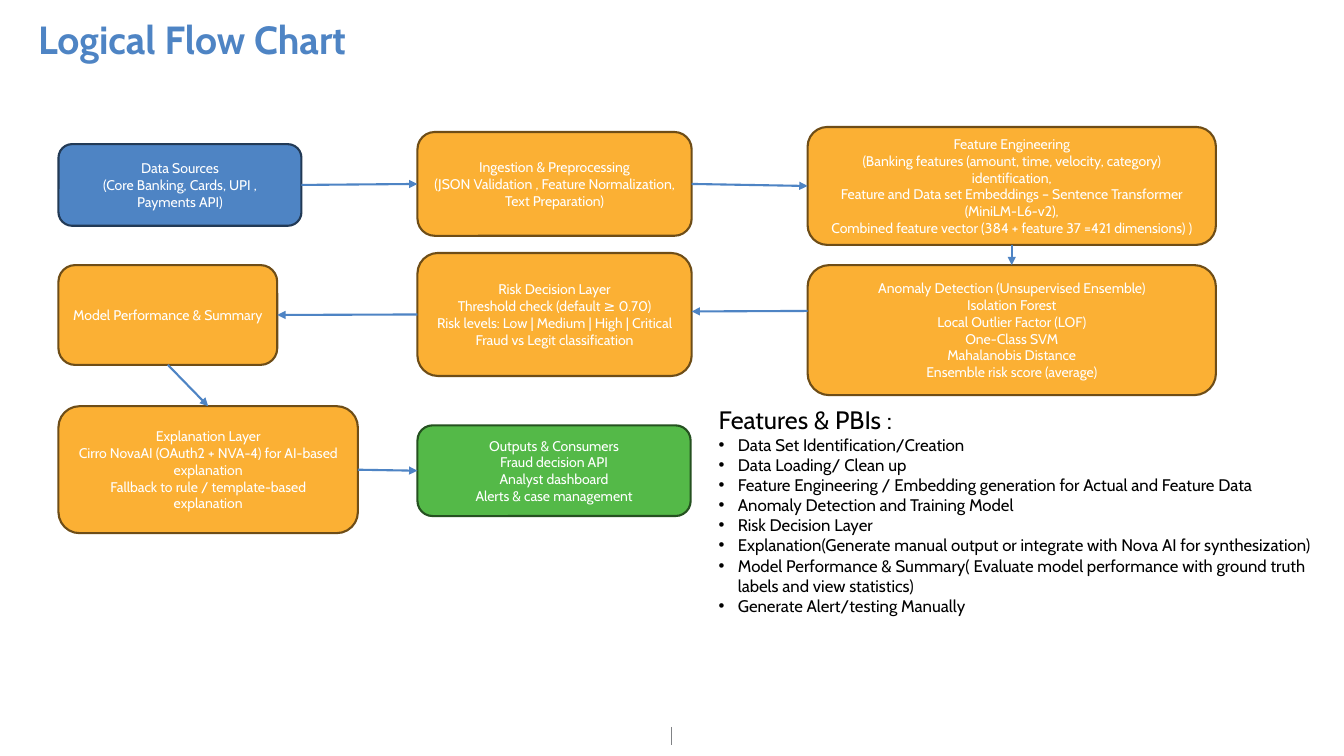
from dataclasses import dataclass

from lxml.etree import SubElement
from pptx import Presentation
from pptx.dml.color import RGBColor
from pptx.enum.shapes import MSO_CONNECTOR as Connector
from pptx.enum.shapes import MSO_SHAPE as Preset
from pptx.enum.text import MSO_ANCHOR as Anchor
from pptx.enum.text import PP_ALIGN as Align
from pptx.oxml.ns import qn
from pptx.shapes.autoshape import Shape
from pptx.shapes.connector import Connector as ConnectorShape
from pptx.slide import Slide
from pptx.text.text import _Paragraph as Paragraph
from pptx.util import Inches, Pt


@dataclass(frozen=True)
class Theme:
    """Colours, font and type sizes of the slide."""

    font: str = "Cabin"
    blue: str = "4E84C4"
    blue_edge: str = "223A56"
    amber: str = "FBB034"
    amber_edge: str = "6E4D17"
    green: str = "54B948"
    green_edge: str = "255120"
    grey: str = "808285"
    white: str = "FFFFFF"
    black: str = "000000"
    title_size: int = 28
    heading_size: int = 18
    bullet_size: int = 12
    step_size: int = 10
    line_width: float = 1.5
    mark_width: float = 1


THEME = Theme()


@dataclass(frozen=True)
class Step:
    """A rounded box of the flow chart."""

    left: float
    top: float
    width: float
    height: float
    lines: tuple[str, ...]
    fill: str = THEME.amber
    edge: str = THEME.amber_edge

    def site(self, side: int) -> tuple[float, float]:
        """Return the middle of a side, numbered like the connection sites."""
        across, down = ((0.5, 0), (0, 0.5), (0.5, 1), (1, 0.5))[side]
        return self.left + across * self.width, self.top + down * self.height


@dataclass(frozen=True)
class Flow:
    """An arrow between two steps; a shift moves its ends off the sites."""

    source: str
    source_side: int
    target: str
    target_side: int
    source_shift: float = 0
    target_shift: float = 0


TOP, LEFT, BOTTOM, RIGHT = range(4)

STEPS: dict[str, Step] = {
    "sources": Step(0.58, 1.43, 2.41, 0.81, (
        "Data Sources",
        "(Core Banking, Cards, UPI , Payments API)",
    ), THEME.blue, THEME.blue_edge),
    "ingestion": Step(4.14, 1.31, 2.72, 1.03, (
        "Ingestion & Preprocessing",
        "(JSON Validation , Feature Normalization,",
        "Text Preparation)",
    )),
    "features": Step(8.01, 1.26, 4.05, 1.17, (
        "Feature Engineering",
        "(Banking features (amount, time, velocity, category) identification,",
        "Feature and Data set Embeddings – Sentence Transformer (MiniLM-L6-v2),",
        "Combined feature vector (384 + feature 37 =421 dimensions) )",
    )),
    "anomaly": Step(8.01, 2.63, 4.05, 1.29, (
        "Anomaly Detection (Unsupervised Ensemble)",
        "Isolation Forest",
        "Local Outlier Factor (LOF)",
        "One-Class SVM",
        "Mahalanobis Distance",
        "Ensemble risk score (average)",
    )),
    "risk": Step(4.14, 2.51, 2.72, 1.22, (
        "Risk Decision Layer",
        "Threshold check (default ≥ 0.70)",
        "Risk levels: Low | Medium | High | Critical",
        "Fraud vs Legit classification",
    )),
    "performance": Step(0.58, 2.63, 2.17, 0.99, ("Model Performance & Summary",)),
    "explanation": Step(0.58, 4.03, 2.97, 1.26, (
        "Explanation Layer",
        "Cirro NovaAI (OAuth2 + NVA-4) for AI-based explanation",
        "Fallback to rule / template-based explanation",
    )),
    "outputs": Step(4.14, 4.22, 2.71, 0.9, (
        "Outputs & Consumers",
        "Fraud decision API",
        "Analyst dashboard",
        "Alerts & case management",
    ), THEME.green, THEME.green_edge),
}

FLOWS: tuple[Flow, ...] = (
    Flow("sources", RIGHT, "ingestion", LEFT),
    Flow("ingestion", RIGHT, "features", LEFT),
    Flow("features", BOTTOM, "anomaly", TOP),
    Flow("anomaly", LEFT, "risk", RIGHT, -0.19, -0.03),
    Flow("risk", LEFT, "performance", RIGHT),
    Flow("performance", BOTTOM, "explanation", TOP),
    Flow("explanation", RIGHT, "outputs", LEFT),
)

BACKLOG: tuple[str, ...] = (
    "Data Set Identification/Creation",
    "Data Loading/ Clean up",
    "Feature Engineering / Embedding generation for Actual and Feature Data",
    "Anomaly Detection and Training Model",
    "Risk Decision Layer",
    "Explanation(Generate manual output or integrate with Nova AI for synthesization)",
    "Model Performance & Summary( Evaluate model performance with ground truth "
    "labels and view statistics)",
    "Generate Alert/testing Manually",
)


def style(para: Paragraph, size: int, color: str, bold: bool = False) -> None:
    """Format every run of a paragraph."""
    for span in para.runs:
        span.font.name = THEME.font
        span.font.size = Pt(size)
        span.font.bold = bold
        span.font.color.rgb = RGBColor.from_string(color)


def add_text(page: Slide, left: float, top: float, width: float, height: float,
             text: str) -> Shape:
    """Add a wrapping text box."""
    box = page.shapes.add_textbox(*map(Inches, (left, top, width, height)))
    box.text_frame.word_wrap = True
    box.text_frame.text = text
    return box


def add_step(page: Slide, step: Step) -> Shape:
    """Draw one box of the flow chart."""
    place = map(Inches, (step.left, step.top, step.width, step.height))
    box = page.shapes.add_shape(Preset.ROUNDED_RECTANGLE, *place)
    box.shadow.inherit = False
    box.fill.solid()
    box.fill.fore_color.rgb = RGBColor.from_string(step.fill)
    box.line.color.rgb = RGBColor.from_string(step.edge)
    box.line.width = Pt(THEME.line_width)
    box.text_frame.word_wrap = True
    box.text_frame.vertical_anchor = Anchor.MIDDLE
    box.text_frame.text = "\n".join(step.lines)
    for para in box.text_frame.paragraphs:
        para.alignment = Align.CENTER
        style(para, THEME.step_size, THEME.white)
    return box


def add_line(page: Slide, start: tuple[float, float], end: tuple[float, float],
             color: str, width: float) -> ConnectorShape:
    """Draw a straight line without a shadow."""
    line = page.shapes.add_connector(Connector.STRAIGHT, *map(Inches, (*start, *end)))
    line.line.color.rgb = RGBColor.from_string(color)
    line.line.width = Pt(width)
    SubElement(line._element.spPr, qn("a:effectLst"))
    return line


def add_flow(page: Slide, flow: Flow, boxes: dict[str, Shape]) -> None:
    """Draw an arrow, glued to its boxes when it meets their sites."""
    x1, y1 = STEPS[flow.source].site(flow.source_side)
    x2, y2 = STEPS[flow.target].site(flow.target_side)
    arrow = add_line(page, (x1, y1 + flow.source_shift), (x2, y2 + flow.target_shift),
                     THEME.blue, THEME.line_width)
    SubElement(arrow.line._get_or_add_ln(), qn("a:tailEnd"), type="triangle")
    if not flow.source_shift:
        arrow.begin_connect(boxes[flow.source], flow.source_side)
    if not flow.target_shift:
        arrow.end_connect(boxes[flow.target], flow.target_side)


def add_backlog(page: Slide) -> None:
    """Write the heading and its bulleted list."""
    box = add_text(page, 7.03, 3.96, 6.3, 3.03, "\n".join(("Features & PBIs :", *BACKLOG)))
    heading, *bullets = box.text_frame.paragraphs
    style(heading, THEME.heading_size, THEME.black)
    for para in bullets:
        style(para, THEME.bullet_size, THEME.black)
        properties = para._p.get_or_add_pPr()
        properties.set("marL", str(Inches(0.19)))
        properties.set("indent", str(Inches(-0.19)))
        SubElement(properties, qn("a:buFont"), typeface="Arial")
        SubElement(properties, qn("a:buChar"), char="•")


def main() -> None:
    """Build the slide and save it."""
    deck = Presentation()
    deck.slide_width, deck.slide_height = Inches(13.33), Inches(7.5)
    page = deck.slides.add_slide(deck.slide_layouts[6])
    add_line(page, (6.66, 7.21), (6.66, 7.39), THEME.grey, THEME.mark_width)
    title = add_text(page, 0.28, 0.16, 11.5, 0.81, "Logical Flow Chart").text_frame.paragraphs[0]
    title.line_spacing = 0.9
    style(title, THEME.title_size, THEME.blue, bold=True)
    boxes = {name: add_step(page, step) for name, step in STEPS.items()}
    for flow in FLOWS:
        add_flow(page, flow, boxes)
    add_backlog(page)
    deck.save("out.pptx")


if __name__ == "__main__":
    main()
